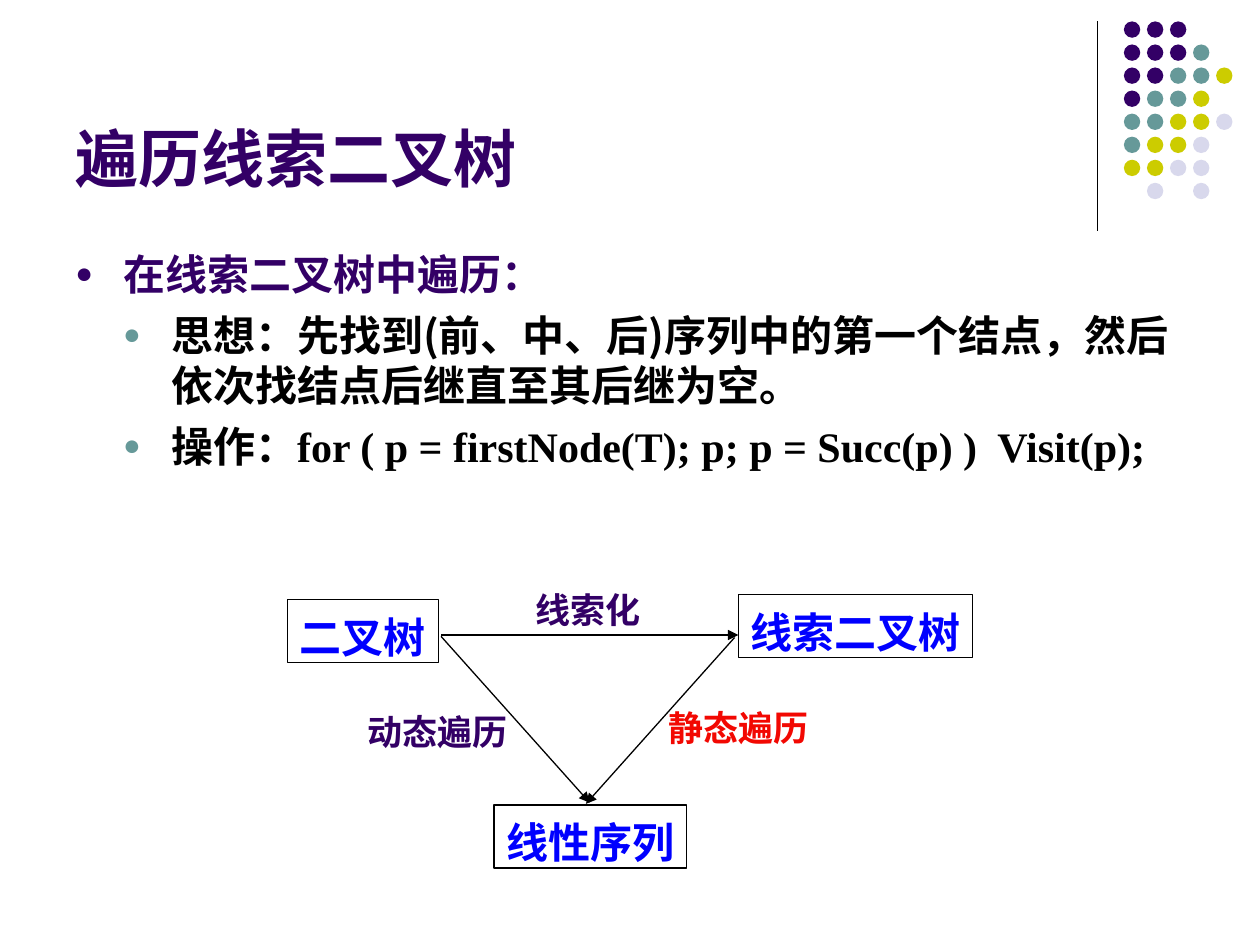
from dataclasses import dataclass

from lxml import etree
from pptx import Presentation
from pptx.dml.color import RGBColor
from pptx.enum import shapes, text
from pptx.oxml import ns
from pptx.util import Inches, Pt

HUES = {"ink": "330066", "teal": "669999", "lime": "CCCC00", "pale": "D8D8EC",
        "black": "000000", "blue": "0000FF", "red": "F20802"}
CJK = "Noto Sans CJK SC"


@dataclass
class Label:
    words: str
    box: tuple[float, float, float, float]
    hue: str
    size: int = 20
    framed: bool = False


@dataclass
class Point:
    words: str
    level: int
    hue: str
    dot: str
    face: str


def color(name: str) -> RGBColor:
    return RGBColor.from_string(HUES[name])


def add(parent, tag: str, **attrs: str):
    return etree.SubElement(parent, ns.qn(tag), attrs)


def write(para, words: str, size: int, hue: str, face: str = "Arial") -> None:
    para.alignment = text.PP_ALIGN.LEFT
    para.line_spacing = Pt(size * 1.2)
    run = para.add_run()
    run.text = words
    for key, value in {"size": Pt(size), "bold": True, "name": face}.items():
        setattr(run.font, key, value)
    run.font.color.rgb = color(hue)
    add(run.font._element, "a:ea", typeface=CJK)


def frame(shape, wrap: bool, top: float = 0.09, bottom: float = 0.0,
          anchor=text.MSO_ANCHOR.TOP):
    form = {"word_wrap": wrap, "auto_size": text.MSO_AUTO_SIZE.NONE,
            "margin_left": Inches(0.1), "margin_right": Inches(0.1),
            "margin_top": Inches(top), "margin_bottom": Inches(bottom),
            "vertical_anchor": anchor}
    for key, value in form.items():
        setattr(shape.text_frame, key, value)
    return shape.text_frame


def draw_line(slide, start: tuple, end: tuple, arrow: bool = True) -> None:
    line = slide.shapes.add_connector(
        shapes.MSO_CONNECTOR.STRAIGHT, *map(Inches, start + end))
    line.line.color.rgb = color("black")
    line.line.width = Pt(0.75)
    if arrow:
        add(line.line._get_or_add_ln(), "a:tailEnd", type="triangle")
    add(line._element.spPr, "a:effectLst")


def draw_dot(slide, x: float, y: float, hue: str) -> None:
    dot = slide.shapes.add_shape(
        shapes.MSO_SHAPE.OVAL, *map(Inches, (x, y, 0.13, 0.13)))
    dot.shadow.inherit = False
    dot.fill.solid()
    dot.fill.fore_color.rgb = color(hue)
    dot.line.fill.background()


def draw_label(slide, label: Label) -> None:
    place = map(Inches, label.box)
    if label.framed:
        shape = slide.shapes.add_shape(shapes.MSO_SHAPE.RECTANGLE, *place)
        shape.shadow.inherit = False
        shape.fill.background()
        shape.line.color.rgb = color("black")
        shape.line.width = Pt(0.75)
    else:
        shape = slide.shapes.add_textbox(*place)
    body = frame(shape, wrap=not label.framed)
    write(body.paragraphs[0], label.words, label.size, label.hue)


def draw_points(slide, points: list[Point]) -> None:
    box = slide.shapes.add_textbox(*map(Inches, (0.5, 1.88, 9, 4.82)))
    body = frame(box, wrap=True)
    for i, point in enumerate(points):
        para = body.add_paragraph() if i else body.paragraphs[0]
        props = para._p.get_or_add_pPr()
        props.set("marL", str(Inches(0.38 * (point.level + 1))))
        props.set("indent", str(Inches(-0.38)))
        add(add(props, "a:buClr"), "a:srgbClr", val=HUES[point.dot])
        add(props, "a:buSzPct", val="70000")
        add(props, "a:buFont", typeface="Arial")
        add(props, "a:buChar", char="●")
        para.level = point.level
        if i:
            para.space_before = Pt(6)
        write(para, point.words, 24, point.hue, point.face)


# Letters stand for dot colours; a blank leaves a gap
DOTS = ["iii", "iiit", "iittl", "ittl", "ttllp", "tllp", "llpp", " p p"]
KEYS = {"i": "ink", "t": "teal", "l": "lime", "p": "pale"}

POINTS = [
    Point("在线索二叉树中遍历：", 0, "ink", "ink", "Arial"),
    Point("思想：先找到(前、中、后)序列中的第一个结点，然后依次找结点后继直至其后继为空。",
          1, "black", "teal", CJK),
    Point("操作：for ( p = firstNode(T); p; p = Succ(p) )  Visit(p);",
          1, "black", "teal", "Times New Roman"),
]

LABELS = [
    Label("二叉树", (2.28, 4.76, 1.2, 0.5), "blue", 24, True),
    Label("线索二叉树", (5.86, 4.72, 1.86, 0.5), "blue", 24, True),
    Label("线性序列", (3.92, 6.39, 1.53, 0.5), "blue", 24, True),
    Label("线索化", (4.15, 4.58, 1.1, 0.44), "ink"),
    Label("动态遍历", (2.82, 5.55, 1.58, 0.44), "ink"),
    Label("静态遍历", (5.21, 5.52, 1.69, 0.44), "red"),
]

ARROWS = [((3.5, 5.04), (5.86, 5.04)),
          ((3.5, 5.05), (4.68, 6.37)),
          ((5.83, 5.06), (4.65, 6.38))]


def main() -> None:
    deck = Presentation()
    deck.slide_width, deck.slide_height = Inches(10), Inches(7.5)
    slide = deck.slides.add_slide(deck.slide_layouts[5])

    # Corner ornament
    draw_line(slide, (8.71, 0.17), (8.71, 1.83), arrow=False)
    for row, marks in enumerate(DOTS):
        for col, mark in enumerate(marks):
            if mark in KEYS:
                draw_dot(slide, 8.92 + 0.183 * col, 0.17 + 0.183 * row, KEYS[mark])

    # Title
    title = slide.shapes.title
    spot = {"left": 0.5, "top": 0.13, "width": 8.25, "height": 1.42}
    for key, value in spot.items():
        setattr(title, key, Inches(value))
    body = frame(title, wrap=True, anchor=text.MSO_ANCHOR.BOTTOM)
    write(body.paragraphs[0], "遍历线索二叉树", 36, "ink")

    # Bullets
    draw_points(slide, POINTS)

    # Diagram
    for label in LABELS:
        draw_label(slide, label)
    for start, end in ARROWS:
        draw_line(slide, start, end)

    deck.save("out.pptx")


if __name__ == "__main__":
    main()
